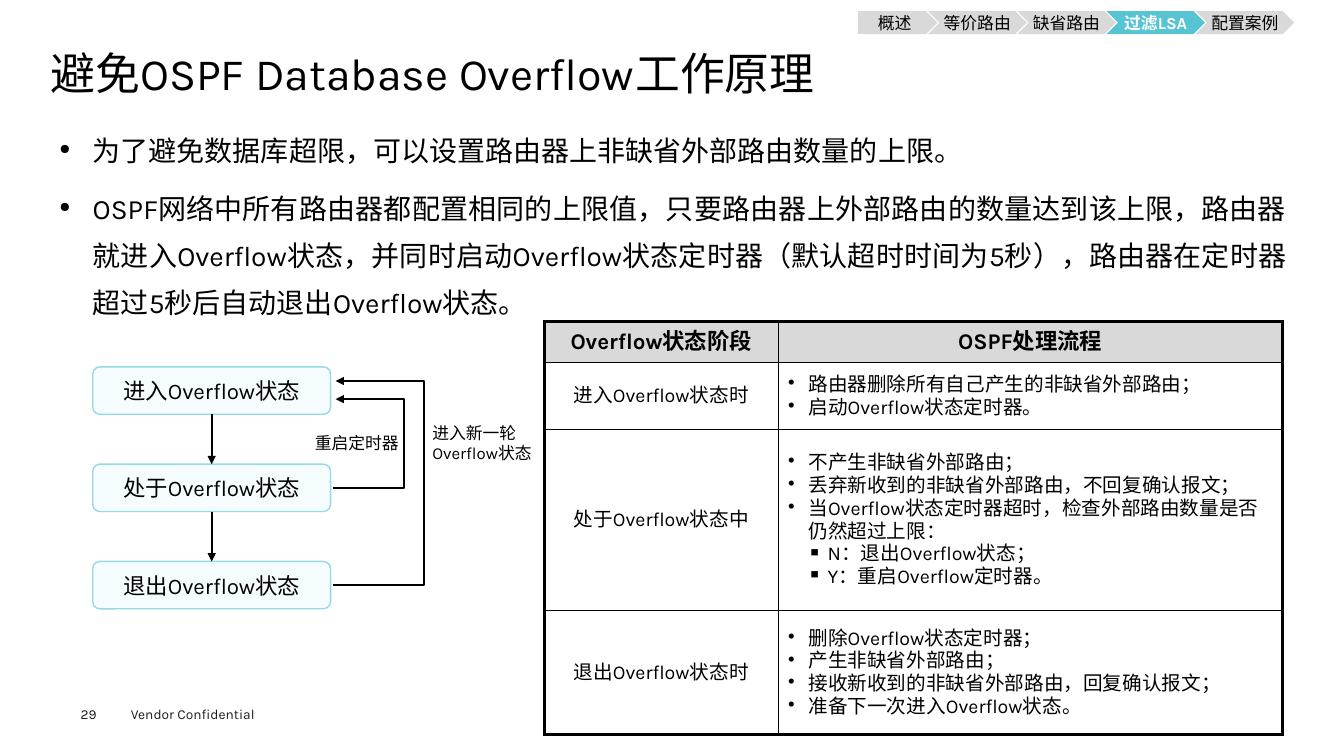
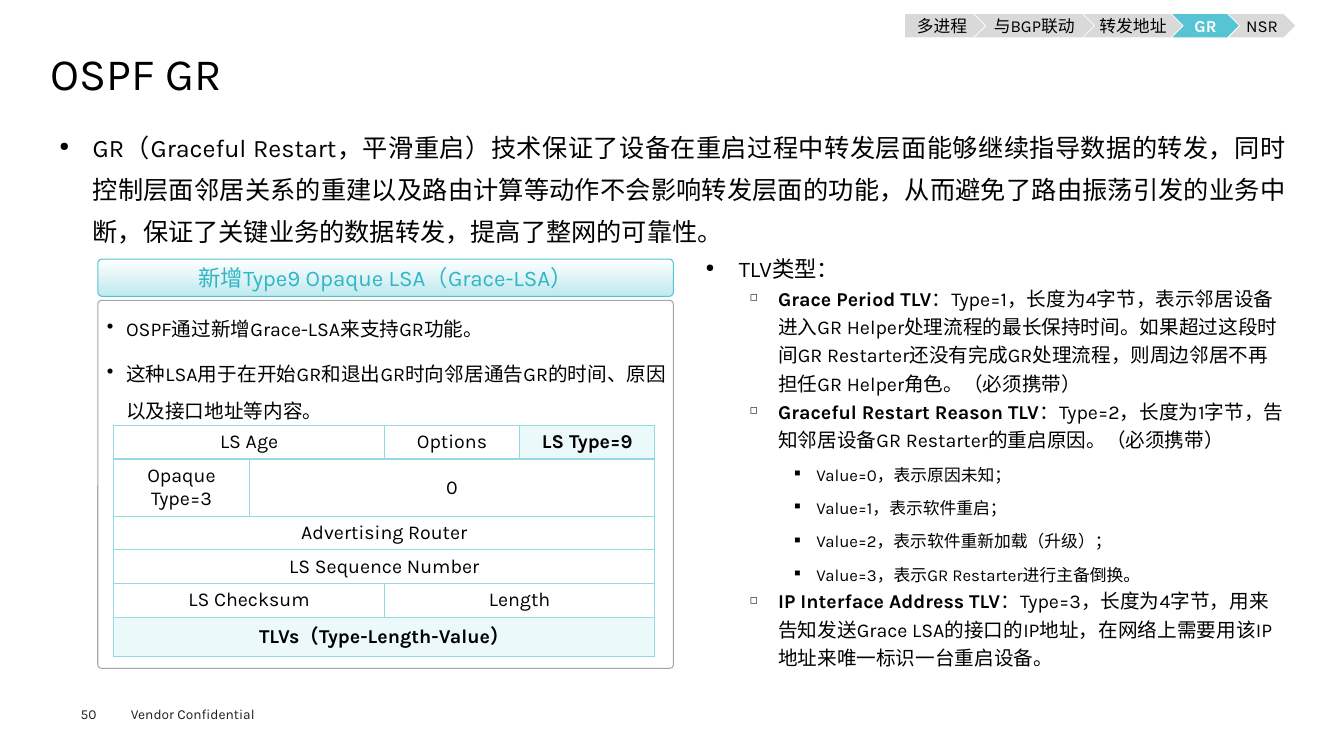
from dataclasses import dataclass
from typing import NamedTuple, Optional, Sequence, Union

from lxml.etree import SubElement
from pptx import Presentation
from pptx.dml.color import RGBColor
from pptx.enum.shapes import MSO_CONNECTOR as Connector, MSO_SHAPE as Preset
from pptx.enum.text import MSO_ANCHOR as Anchor, PP_ALIGN as Align
from pptx.oxml.ns import qn
from pptx.util import Emu, Inches, Pt

CELL = Inches(0.1)
COLUMNS, ROWS = 133.33, 75

FONT = "Karla"
BLACK = RGBColor(0x00, 0x00, 0x00)
WHITE = RGBColor(0xFF, 0xFF, 0xFF)
INK = RGBColor(0x1D, 0x1D, 0x1B)
GRAY = RGBColor(0xD9, 0xD9, 0xD9)
FRAME_GRAY = RGBColor(0xA6, 0xA6, 0xA6)
TEAL = RGBColor(0x56, 0xC4, 0xD2)
TEAL_TEXT = RGBColor(0x30, 0xB5, 0xC5)
TEAL_LINE = RGBColor(0x94, 0xDA, 0xE2)
TEAL_GLOW = RGBColor(0xBE, 0xE9, 0xEE)
TEAL_PALE = RGBColor(0xEC, 0xF9, 0xFA)
TEAL_MIST = RGBColor(0xF5, 0xFC, 0xFD)


class Area(NamedTuple):
    left: float
    top: float
    width: float
    height: float


class Span(NamedTuple):
    text: str
    bold: bool = False


class Border(NamedTuple):
    color: RGBColor
    inner: float
    outer: float


class Crumb(NamedTuple):
    text: str
    width: float


@dataclass(frozen=True)
class Style:
    size: float
    color: RGBColor = BLACK
    align: Align = Align.LEFT
    indent: float = 0
    hang: float = 0
    bullet: str = ""
    bullet_share: int = 100
    leading: Union[float, Pt, None] = None
    before: float = 0
    after: float = 0


@dataclass(frozen=True)
class Line:
    style: Style
    spans: tuple[Span, ...]


@dataclass(frozen=True)
class TableCell:
    lines: Sequence[Line]
    fill: RGBColor = WHITE
    columns: int = 1


TITLE = Style(32, leading=0.9)
FOOTER = Style(9.8, INK)
BODY = Style(20, align=Align.JUSTIFY, indent=3.3, hang=3.3, bullet="●", bullet_share=50, leading=1.4, before=7.9)
BODY_SMALL = Style(18, align=Align.JUSTIFY, indent=3.3, hang=3.3, bullet="●", bullet_share=50, leading=1.4, before=7.9)
TLV_HEAD = Style(16, align=Align.JUSTIFY, indent=3.3, hang=3.3, bullet="●", bullet_share=50, leading=1.2, before=7.9)
TLV_ITEM = Style(14, indent=7.2, hang=2.8, bullet="◻", bullet_share=50, leading=1.2)
TLV_VALUE = Style(12, indent=11, hang=2.2, bullet="■", bullet_share=50, leading=1.2, before=6.5)
PANEL_ITEM = Style(14, align=Align.JUSTIFY, indent=1.9, hang=1.9, bullet="•", leading=Pt(26), after=6)
CELL_ITEM = Style(14, indent=2, hang=2, bullet="•")
CELL_SUBITEM = Style(14, indent=3.9, hang=2, bullet="▪")
CENTER_16 = Style(16, align=Align.CENTER)
CENTER_14 = Style(14, align=Align.CENTER)
CENTER_12 = Style(12, align=Align.CENTER)
CURRENT_CRUMB = Style(12, WHITE, Align.CENTER)
BANNER = Style(16, TEAL_TEXT, Align.CENTER)
NOTE = Style(12)

DEFAULT_INSETS = (1, 0.5)
BODY_INSETS = (0.9, 0.4)
PANEL_INSETS = (0.8, 0.4)
NO_INSETS = (0, 0)


def grid(cells: float) -> Emu:
    return Emu(round(cells * CELL))


def place(area: Area) -> list[Emu]:
    return [grid(cells) for cells in area]


def lines(style: Style, *texts: str, bold: bool = False) -> list[Line]:
    return [Line(style, (Span(text, bold),)) for text in texts]


def write_line(para, line: Line, first: bool) -> None:
    style = line.style
    para.alignment = style.align
    para.line_spacing = style.leading
    para.space_before = Pt(0 if first else style.before)
    para.space_after = Pt(style.after)
    if style.bullet:
        properties = para._p.get_or_add_pPr()
        properties.set("marL", str(grid(style.indent)))
        properties.set("indent", str(-grid(style.hang)))
        SubElement(properties, qn("a:buSzPct"), val=str(style.bullet_share * 1000))
        SubElement(properties, qn("a:buChar"), char=style.bullet)
    for text, bold in line.spans:
        span = para.add_run()
        span.text = text
        span.font.name = FONT
        span.font.size = Pt(style.size)
        span.font.bold = bold
        span.font.color.rgb = style.color
        run_properties = span._r.get_or_add_rPr()
        run_properties.set("lang", "zh-CN")
        SubElement(run_properties, qn("a:ea"), typeface=FONT)


def write(frame, content: Sequence[Line]) -> None:
    for index, line in enumerate(content):
        para = frame.add_paragraph() if index else frame.paragraphs[0]
        write_line(para, line, index == 0)


def fill_frame(frame, content: Sequence[Line], insets: tuple[float, float], anchor: Anchor) -> None:
    frame.word_wrap = True
    frame.vertical_anchor = anchor
    frame.margin_left = frame.margin_right = grid(insets[0])
    frame.margin_top = frame.margin_bottom = grid(insets[1])
    write(frame, content)


def add_text(page, area: Area, content: Sequence[Line], insets=DEFAULT_INSETS, anchor=Anchor.TOP) -> None:
    box = page.shapes.add_textbox(*place(area))
    fill_frame(box.text_frame, content, insets, anchor)


def add_box(page, preset: Preset, area: Area, content: Sequence[Line] = (), fill: Optional[RGBColor] = None,
            line: Optional[RGBColor] = None, weight: float = 0.75, corner: Optional[float] = None,
            insets=DEFAULT_INSETS):
    box = page.shapes.add_shape(preset, *place(area))
    box.shadow.inherit = False
    if corner is not None:
        box.adjustments[0] = corner
    if fill is None:
        box.fill.background()
    else:
        box.fill.solid()
        box.fill.fore_color.rgb = fill
    if line is None:
        box.line.fill.background()
    else:
        box.line.color.rgb = line
        box.line.width = Pt(weight)
    fill_frame(box.text_frame, content, insets, Anchor.MIDDLE)
    return box


def point_arrow(shape) -> None:
    shape.line.color.rgb = BLACK
    shape.line.width = Pt(1.5)
    SubElement(shape._element.spPr.find(qn("a:ln")), qn("a:tailEnd"), type="triangle")


def add_down_arrow(page, x: float, top: float, bottom: float) -> None:
    arrow = page.shapes.add_connector(Connector.STRAIGHT, grid(x), grid(top), grid(x), grid(bottom))
    point_arrow(arrow)
    SubElement(arrow._element.spPr, qn("a:effectLst"))


def add_return_arrow(page, left: float, right: float, start: float, end: float) -> None:
    outline = page.shapes.build_freeform(grid(left), grid(start))
    corners = [(right, start), (right, end), (left + 0.3, end)]
    outline.add_line_segments([(grid(x), grid(y)) for x, y in corners], close=False)
    arrow = outline.convert_to_shape()
    arrow.shadow.inherit = False
    arrow.fill.background()
    point_arrow(arrow)


def set_borders(cell, border: Border, edges: dict[str, bool]) -> None:
    properties = cell._tc.get_or_add_tcPr()
    for side, is_outer in edges.items():
        weight = border.outer if is_outer else border.inner
        line = SubElement(properties, qn(f"a:ln{side}"), w=str(Pt(weight)))
        SubElement(SubElement(line, qn("a:solidFill")), qn("a:srgbClr"), val=str(border.color))


def add_table(page, left: float, top: float, widths: Sequence[float], heights: Sequence[float],
              rows: Sequence[Sequence[TableCell]], border: Border) -> None:
    area = Area(left, top, sum(widths), sum(heights))
    table = page.shapes.add_table(len(heights), len(widths), *place(area)).table
    table.first_row = table.horz_banding = False
    for column, width in zip(table.columns, widths):
        column.width = grid(width)
    for row, height in zip(table.rows, heights):
        row.height = grid(height)
    last_row, last_column = len(heights) - 1, len(widths) - 1
    for r, row in enumerate(rows):
        c = 0
        for entry in row:
            end = c + entry.columns - 1
            if end > c:
                table.cell(r, c).merge(table.cell(r, end))
            for position in range(c, end + 1):
                cell = table.cell(r, position)
                edges = {"L": position == 0, "R": position == last_column, "T": r == 0, "B": r == last_row}
                set_borders(cell, border, edges)
                cell.fill.solid()
                cell.fill.fore_color.rgb = entry.fill
            origin = table.cell(r, c)
            origin.vertical_anchor = Anchor.MIDDLE
            write(origin.text_frame, entry.lines)
            c = end + 1


def add_crumbs(page, left: float, top: float, overlap: float, crumbs: Sequence[Crumb], current: str) -> None:
    for index, (text, width) in enumerate(crumbs):
        active = text == current
        content = lines(CURRENT_CRUMB if active else CENTER_12, text, bold=active)
        add_box(page, Preset.CHEVRON if index else Preset.PENTAGON, Area(left, top, width, 2.3), content,
                TEAL if active else GRAY, insets=NO_INSETS)
        left += width - overlap


def add_page(deck, number: str, title: str, body: Sequence[Line], body_height: float):
    page = deck.slides.add_slide(deck.slide_layouts[6])
    add_text(page, Area(12, 69.5, 16, 2.7), lines(FOOTER, "Vendor Confidential"))
    add_text(page, Area(8, 70, 5.5, 1.6), lines(FOOTER, number), NO_INSETS)
    add_text(page, Area(5, 4.9, 123.5, 5.3), lines(TITLE, title), NO_INSETS, Anchor.MIDDLE)
    add_text(page, Area(5, 11.5, 123.5, body_height), body, BODY_INSETS)
    return page


def build_overflow(deck) -> None:
    body = lines(
        BODY,
        "为了避免数据库超限，可以设置路由器上非缺省外部路由数量的上限。",
        "OSPF网络中所有路由器都配置相同的上限值，只要路由器上外部路由的数量达到该上限，路由器就进入Overflow状态，并同时启动Overflow状态定时器（默认超时时间为5秒），路由器在定时器超过5秒后自动退出Overflow状态。")
    page = add_page(deck, "29", "避免OSPF Database Overflow工作原理", body, 22)

    left, top, width, height, step = 9.2, 36.4, 23.6, 4.7, 9.65
    for index, state in enumerate(("进入", "处于", "退出")):
        y = top + index * step
        add_box(page, Preset.ROUNDED_RECTANGLE, Area(left, y, width, height),
                lines(CENTER_16, f"{state}Overflow状态"), TEAL_MIST, TEAL_LINE, 1, 0.15)
        if index:
            add_down_arrow(page, left + width / 2, y - step + height, y)
    for index, (right, end) in enumerate(((40.1, 39.6), (42.1, 37.8)), 1):
        add_return_arrow(page, 33, right, top + index * step + height / 2, end)

    stages = [
        ("进入Overflow状态时", lines(CELL_ITEM, "路由器删除所有自己产生的非缺省外部路由；", "启动Overflow状态定时器。")),
        ("处于Overflow状态中",
         lines(CELL_ITEM, "不产生非缺省外部路由；", "丢弃新收到的非缺省外部路由，不回复确认报文；",
               "当Overflow状态定时器超时，检查外部路由数量是否仍然超过上限：")
         + lines(CELL_SUBITEM, "N：退出Overflow状态；", "Y：重启Overflow定时器。")),
        ("退出Overflow状态时",
         lines(CELL_ITEM, "删除Overflow状态定时器；", "产生非缺省外部路由；",
               "接收新收到的非缺省外部路由，回复确认报文；", "准备下一次进入Overflow状态。")),
    ]
    header = [TableCell(lines(CENTER_16, text, bold=True), GRAY) for text in ("Overflow状态阶段", "OSPF处理流程")]
    rows = [header] + [[TableCell(lines(CENTER_14, stage)), TableCell(steps)] for stage, steps in stages]
    add_table(page, 54, 31.9, (23.2, 50), (4.1, 6.6, 18, 12.3), rows, Border(BLACK, 1, 2.25))

    add_text(page, Area(29.4, 41.6, 12, 4.7), lines(CENTER_12, "重启定时器"), anchor=Anchor.MIDDLE)
    add_text(page, Area(41.9, 41.6, 13.5, 4.7), lines(NOTE, "进入新一轮Overflow状态"), anchor=Anchor.MIDDLE)
    crumbs = [Crumb("概述", 7.9)] + [Crumb(text, 9.8) for text in ("等价路由", "缺省路由", "过滤LSA", "配置案例")]
    add_crumbs(page, 85.1, 1.1, 0.95, crumbs, "过滤LSA")


def build_graceful_restart(deck) -> None:
    body = lines(
        BODY_SMALL,
        "GR（Graceful Restart，平滑重启）技术保证了设备在重启过程中转发层面能够继续指导数据的转发，同时控制层面邻居关系的重建以及路由计算等动作不会影响转发层面的功能，从而避免了路由振荡引发的业务中断，保证了关键业务的数据转发，提高了整网的可靠性。")
    page = add_page(deck, "50", "OSPF GR", body, 14.2)

    def field(text: str, columns: int = 1, strong: bool = False) -> TableCell:
        return TableCell(lines(CENTER_14, text, bold=strong), TEAL_PALE if strong else WHITE, columns)

    rows = [
        [field("LS Age", 2), field("Options"), field("LS Type=9", strong=True)],
        [field("Opaque Type=3"), field("0", 3)],
        [field("Advertising Router", 4)],
        [field("LS Sequence Number", 4)],
        [field("LS Checksum", 2), field("Length", 2)],
        [field("TLVs（Type-Length-Value）", 4, True)],
    ]
    add_table(page, 11.3, 42.2, [13.42] * 4, (3.3, 5.6, 3.3, 3.3, 3.3, 3.9), rows, Border(TEAL_LINE, 1, 1))

    banner = add_box(page, Preset.ROUNDED_RECTANGLE, Area(9.7, 25.7, 57.1, 3.7),
                     lines(BANNER, "新增Type9 Opaque LSA（Grace-LSA）"), WHITE, TEAL, corner=0.11)
    banner.fill.gradient()
    banner.fill.gradient_angle = 270
    for stop, color, position in zip(banner.fill.gradient_stops, (WHITE, TEAL_GLOW), (0, 1)):
        stop.color.rgb = color
        stop.position = position
    add_box(page, Preset.ROUNDED_RECTANGLE, Area(9.7, 29.8, 57.1, 36.5), line=FRAME_GRAY, corner=0.01)
    add_text(page, Area(9.8, 29.8, 57.1, 12.7),
             lines(PANEL_ITEM, "OSPF通过新增Grace-LSA来支持GR功能。",
                   "这种LSA用于在开始GR和退出GR时向邻居通告GR的时间、原因以及接口地址等内容。"), PANEL_INSETS)

    def tlv(name: str, detail: str) -> Line:
        return Line(TLV_ITEM, (Span(name, True), Span(detail)))

    content = [
        *lines(TLV_HEAD, "TLV类型："),
        tlv("Grace Period TLV",
            "：Type=1，长度为4字节，表示邻居设备进入GR Helper处理流程的最长保持时间。如果超过这段时间GR Restarter还没有完成GR处理流程，则周边邻居不再担任GR Helper角色。（必须携带）"),
        tlv("Graceful Restart Reason TLV", "：Type=2，长度为1字节，告知邻居设备GR Restarter的重启原因。（必须携带）"),
        *lines(TLV_VALUE, "Value=0，表示原因未知；", "Value=1，表示软件重启；",
               "Value=2，表示软件重新加载（升级）；", "Value=3，表示GR Restarter进行主备倒换。"),
        tlv("IP Interface Address TLV",
            "：Type=3，长度为4字节，用来告知发送Grace LSA的接口的IP地址，在网络上需要用该IP地址来唯一标识一台重启设备。"),
    ]
    add_text(page, Area(69.2, 24.4, 59.3, 42.7), content, PANEL_INSETS)
    crumbs = [Crumb("多进程", 7.9), Crumb("与BGP联动", 11.8), Crumb("转发地址", 9.8), Crumb("GR", 6.6), Crumb("NSR", 6.6)]
    add_crumbs(page, 89.8, 1.4, 1, crumbs, "GR")


def main() -> None:
    deck = Presentation()
    deck.slide_width, deck.slide_height = grid(COLUMNS), grid(ROWS)
    build_overflow(deck)
    build_graceful_restart(deck)
    deck.save("out.pptx")


if __name__ == "__main__":
    main()
